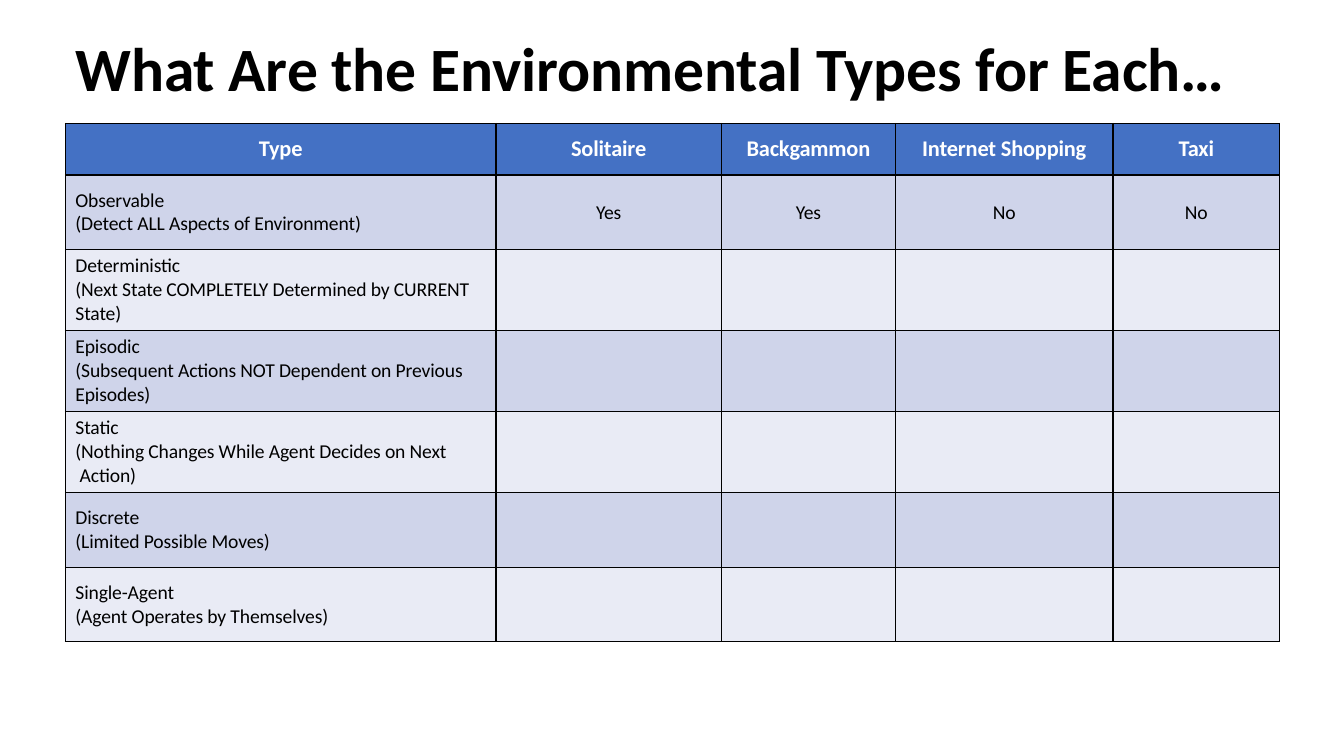
from lxml.etree import fromstring
from pptx import Presentation
from pptx.dml.color import RGBColor
from pptx.enum.text import MSO_ANCHOR, MSO_AUTO_SIZE, PP_ALIGN
from pptx.oxml.ns import nsdecls
from pptx.util import Cm, Pt

HEADS = ["Type", "Solitaire", "Backgammon", "Internet Shopping", "Taxi"]
TYPES = [
    ["Observable\n(Detect ALL Aspects of Environment)", "Yes", "Yes", "No", "No"],
    ["Deterministic\n(Next State COMPLETELY Determined by CURRENT State)"],
    ["Episodic\n(Subsequent Actions NOT Dependent on Previous\nEpisodes)"],
    ["Static\n(Nothing Changes While Agent Decides on Next\v Action)"],
    ["Discrete\n(Limited Possible Moves)"],
    ["Single-Agent\n(Agent Operates by Themselves)"],
]
WIDTHS = [10.85, 5.68, 4.39, 5.48, 4.2]
HEIGHTS = [1.3, 1.88, 2.04, 2.04, 2.04, 1.88, 1.88]


def color(code):
    return RGBColor.from_string(code)


class Deck:
    font = "Calibri"
    ink, paper = "000000", "FFFFFF"
    head, bands = "4471C4", ("CFD4EA", "E9EBF5")

    def __init__(self):
        self.show = Presentation()
        self.show.slide_width, self.show.slide_height = Cm(33.87), Cm(19.05)
        self.slide = self.show.slides.add_slide(self.show.slide_layouts[5])

    def text(self, frame, words, size, ink, bold=False, align=PP_ALIGN.LEFT):
        frame.text = words
        for para in frame.paragraphs:
            para.alignment = align
            font = para.font
            font.name, font.size, font.bold = self.font, Pt(size), bold
            font.color.rgb = color(ink)
            for run in para.runs:
                run._r.get_or_add_rPr().set("spc", "-10")

    def title(self, words, left, top, width, height):
        shape = self.slide.shapes.title
        shape.left, shape.top = Cm(left), Cm(top)
        shape.width, shape.height = Cm(width), Cm(height)
        frame = shape.text_frame
        frame.margin_left = frame.margin_right = 0
        frame.margin_top = frame.margin_bottom = 0
        frame.word_wrap = True
        frame.auto_size = MSO_AUTO_SIZE.NONE
        frame.vertical_anchor = MSO_ANCHOR.MIDDLE
        self.text(frame, words, 44, self.ink, True)

    def border(self, cell):
        """Rule all four sides; the lines must precede the fill in the XML."""
        props = cell._tc.get_or_add_tcPr()
        for spot, side in enumerate("LRTB"):
            props.insert(spot, fromstring(
                f'<a:ln{side} {nsdecls("a")} w="{Pt(1)}"><a:solidFill>'
                f'<a:srgbClr val="{self.ink}"/></a:solidFill></a:ln{side}>'))

    def cell(self, cell, words, row, col):
        cell.margin_left = Cm(0.25 if row and not col else 0)
        cell.margin_right = cell.margin_top = cell.margin_bottom = 0
        cell.vertical_anchor = MSO_ANCHOR.MIDDLE
        cell.fill.solid()
        cell.fill.fore_color.rgb = color(self.bands[(row - 1) % 2] if row else self.head)
        self.border(cell)
        if row == 0:
            self.text(cell.text_frame, words, 16, self.paper, True, PP_ALIGN.CENTER)
        elif words:
            align = PP_ALIGN.CENTER if col else PP_ALIGN.LEFT
            self.text(cell.text_frame, words, 14, self.ink, align=align)

    def table(self, rows, widths, heights, left, top):
        table = self.slide.shapes.add_table(
            len(heights), len(widths), Cm(left), Cm(top),
            Cm(sum(widths)), Cm(sum(heights))).table
        table.horz_banding = False
        for col, width in zip(table.columns, widths):
            col.width = Cm(width)
        for r, (row, height) in enumerate(zip(rows, heights)):
            table.rows[r].height = Cm(height)
            for c in range(len(widths)):
                words = row[c] if c < len(row) else ""
                self.cell(table.cell(r, c), words, r, c)


def main():
    deck = Deck()
    deck.title("What Are the Environmental Types for Each…", 1.9, 0.72, 29.18, 1.93)
    deck.table([HEADS] + TYPES, WIDTHS, HEIGHTS, 1.65, 3.11)
    deck.show.save("out.pptx")


if __name__ == "__main__":
    main()
